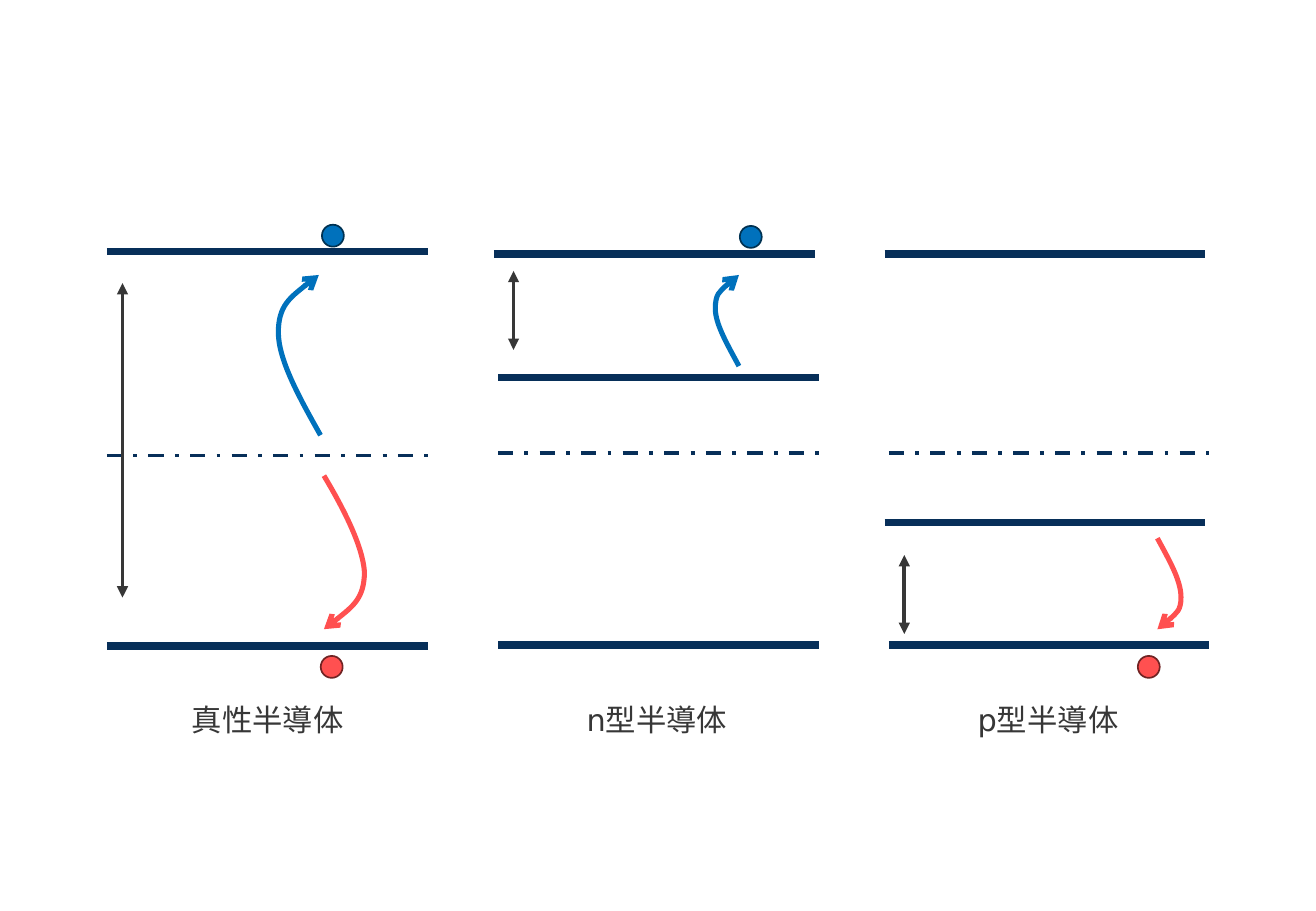
from pptx import Presentation
from pptx.dml.color import RGBColor
from pptx.enum.dml import MSO_LINE
from pptx.enum.shapes import MSO_CONNECTOR, MSO_SHAPE
from pptx.oxml.ns import qn
from pptx.util import Pt
from lxml.etree import SubElement

INK = {
    "band": "072F59", "text": "373737",
    "blue": "0071BC", "navy": "003252",
    "red": "FF5050", "wine": "702323",
}
FONT = "DejaVu Sans"
WIDTH = 190   # length of every level
DOT = 13      # size of a carrier

# Left edge, level starts and heights, Fermi height, gap arrow, label
PANELS = [
    (63.4, [(63.4, 149), (63.4, 383)], 270, (167.8, 354.2),
     "真性半導体", 106.6, 105.1),
    (295.2, [(292.8, 150.5), (295.2, 382.3), (295.2, 223.9)], 268.6,
     (160.6, 207.4), "n型半導体", 340.6, 98.6),
    (526.8, [(524.4, 150.5), (526.8, 382.3), (524.4, 309.6)], 268.6,
     (329, 375.8), "p型半導体", 572.4, 98.6),
]

# Fill, outline, left, top
DOTS = [
    ("blue", "navy", 190.8, 133.2),
    ("blue", "navy", 438.5, 133.9),
    ("red", "wine", 190.1, 388.8),
    ("red", "wine", 674.4, 388.8),
]

# Colour, then start and Bezier points; the arrowhead is at the start
JUMPS = [
    ("blue", [(189.4, 162.7), (177.1, 172.1), (164.9, 181.4), (164.9, 197.3),
              (164.9, 213.1), (177.1, 235.4), (190.1, 258.5)]),
    ("red", [(192.2, 373), (203.8, 363.6), (216, 355), (216, 339.1),
             (215.3, 324), (203.8, 302.4), (191.5, 281.5)]),
    ("blue", [(437.8, 162.7), (431.3, 168.5), (424.1, 173.5), (424.1, 182.9),
              (424.1, 191.5), (431.3, 204.5), (438.5, 216.7)]),
    ("red", [(686.2, 373), (693.4, 367.9), (699.8, 362.2), (699.8, 353.5),
             (699.8, 344.2), (692.6, 331.9), (686.2, 319)]),
]


def tint(name):
    return RGBColor.from_string(INK[name])


def stroke(item, name, size):
    item.line.color.rgb = tint(name)
    item.line.width = Pt(size)


def add_tip(item, end, kind):
    line = item.line._get_or_add_ln()
    SubElement(line, qn(f"a:{end}"), type=kind)


def add_line(shapes, start, stop, name, size):
    line = shapes.add_connector(MSO_CONNECTOR.STRAIGHT,
                                *map(Pt, start + stop))
    stroke(line, name, size)
    SubElement(line._element.spPr, qn("a:effectLst"))
    return line


def add_level(shapes, left, top, size=4.5):
    return add_line(shapes, (left, top), (left + WIDTH, top), "band", size)


def add_label(shapes, text, left, width):
    frame = shapes.add_textbox(Pt(left), Pt(411.8), Pt(width),
                               Pt(29)).text_frame
    frame.word_wrap = True
    run = frame.paragraphs[0].add_run()
    run.text = text
    run.font.name = FONT
    run.font.size = Pt(18)
    run.font.color.rgb = tint("text")


def add_panel(slide, left, levels, fermi, gap, text, start, width):
    shapes = slide.shapes.add_group_shape().shapes
    for level in levels:
        add_level(shapes, *level)
    add_level(shapes, left, fermi, 2.25).line.dash_style = MSO_LINE.DASH_DOT
    # Energy gap
    side = left + 9.2
    arrow = add_line(shapes, (side, gap[0]), (side, gap[1]), "text", 2.25)
    for end in ("headEnd", "tailEnd"):
        add_tip(arrow, end, "triangle")
    add_label(shapes, text, start, width)


def add_dot(slide, fill, edge, left, top):
    dot = slide.shapes.add_shape(MSO_SHAPE.OVAL, Pt(left), Pt(top),
                                 Pt(DOT), Pt(DOT))
    dot.shadow.inherit = False
    dot.fill.solid()
    dot.fill.fore_color.rgb = tint(fill)
    stroke(dot, edge, 1)


def add_jump(slide, name, points):
    pen = slide.shapes.build_freeform(*points[0], scale=Pt(1))
    pen.add_line_segments(points[1:], close=False)
    curve = pen.convert_to_shape()
    curve.shadow.inherit = False
    curve.fill.background()
    stroke(curve, name, 3)
    add_tip(curve, "headEnd", "arrow")
    # Turn each three segments into one cubic curve
    steps = list(curve._element.iter(qn("a:lnTo")))
    for first in range(0, len(steps), 3):
        bend = SubElement(steps[first].getparent(), qn("a:cubicBezTo"))
        for step in steps[first:first + 3]:
            bend.append(step[0])
            step.getparent().remove(step)


def main():
    deck = Presentation()
    deck.slide_width, deck.slide_height = Pt(780), Pt(540)
    slide = deck.slides.add_slide(deck.slide_layouts[6])
    # Band diagrams
    for panel in PANELS:
        add_panel(slide, *panel)
    # Carriers and their jumps
    for dot in DOTS:
        add_dot(slide, *dot)
    for jump in JUMPS:
        add_jump(slide, *jump)
    deck.save("out.pptx")


if __name__ == "__main__":
    main()
